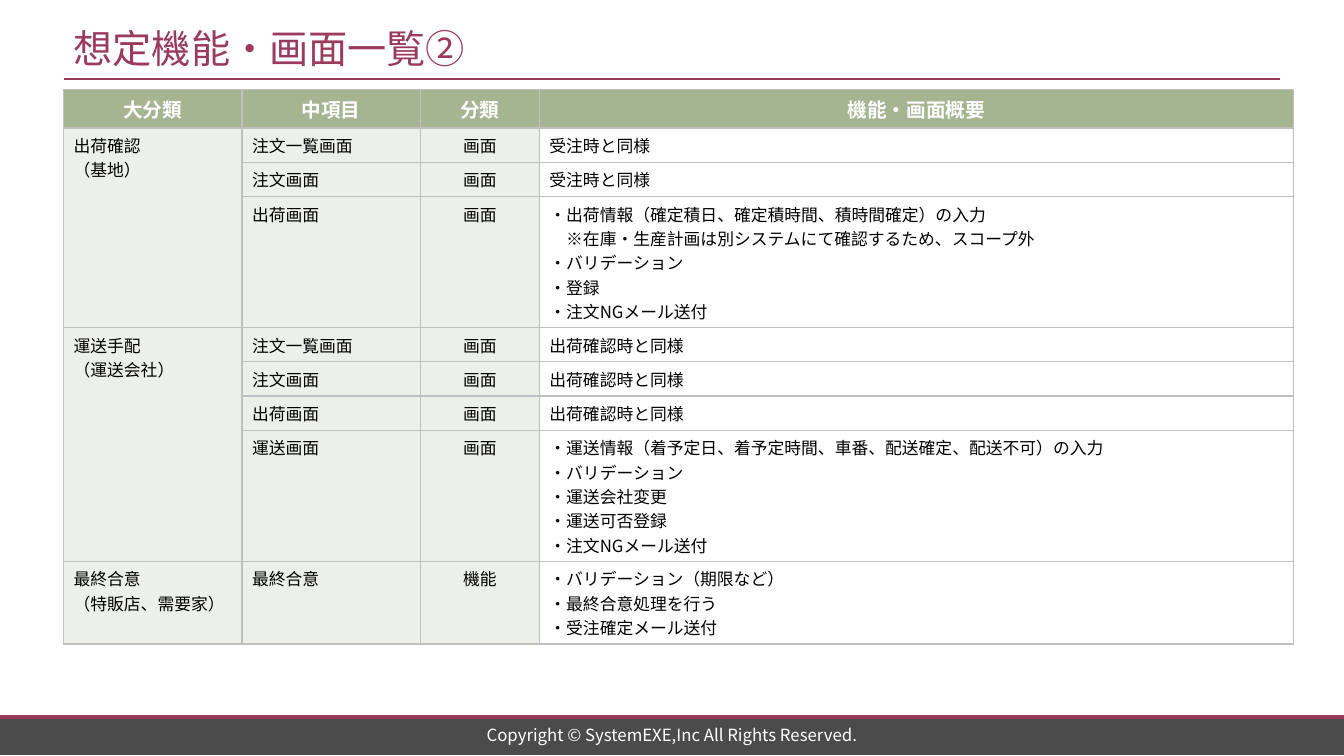
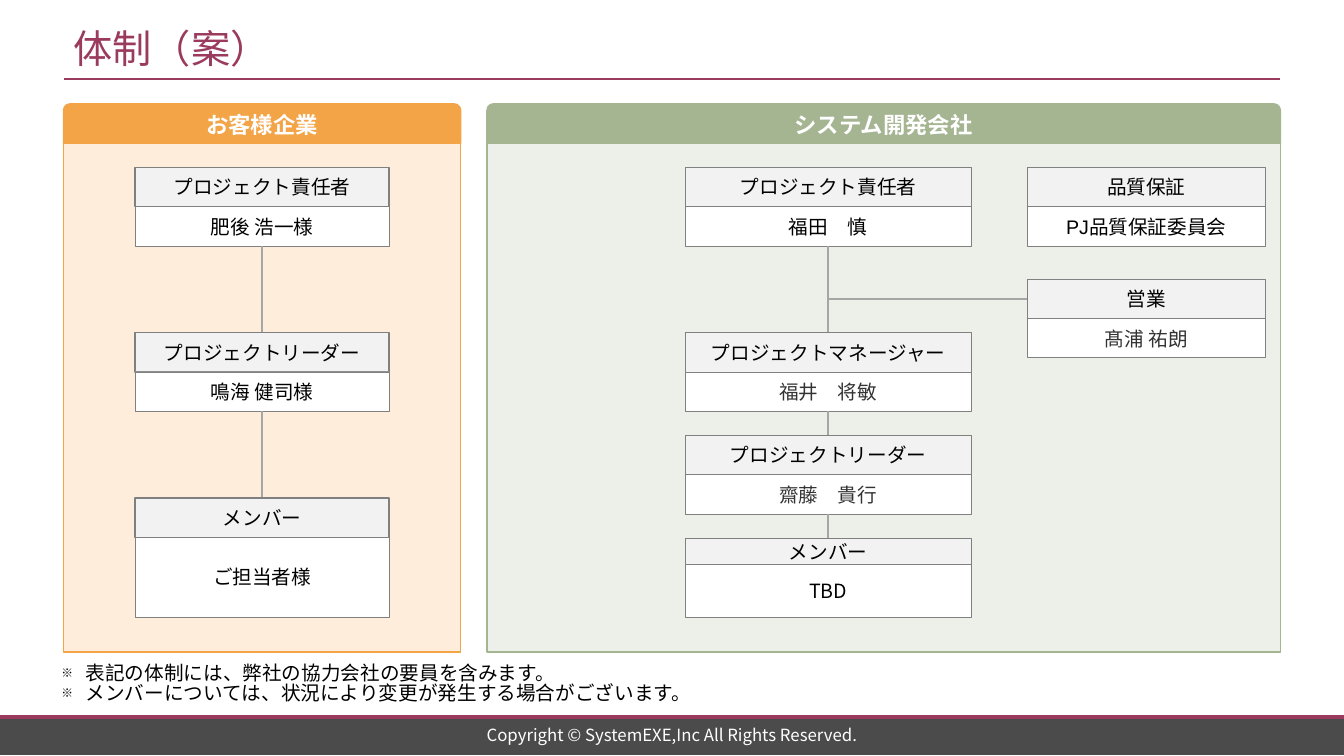
import pptx
import pptx.dml.color
import pptx.enum.shapes
import pptx.enum.text
import pptx.oxml.ns
import pptx.util
from lxml import etree

Inches = pptx.util.Inches
Pt = pptx.util.Pt
RGBColor = pptx.dml.color.RGBColor
SHAPE = pptx.enum.shapes.MSO_SHAPE
ANCHOR = pptx.enum.text.MSO_ANCHOR
ALIGN = pptx.enum.text.PP_ALIGN
qn = pptx.oxml.ns.qn

WINE = RGBColor(0x9A, 0x3B, 0x5D)
CHARCOAL = RGBColor(0x4B, 0x4B, 0x4B)
GREEN = RGBColor(0xA5, 0xB5, 0x92)
PALE_GREEN = RGBColor(0xED, 0xF0, 0xE9)
ORANGE = RGBColor(0xF3, 0xA4, 0x47)
PALE_ORANGE = RGBColor(0xFD, 0xED, 0xDA)
PALE_GRAY = RGBColor(0xF2, 0xF2, 0xF2)
CARD_BORDER = RGBColor(0x80, 0x80, 0x80)
LINK_GRAY = RGBColor(0xA6, 0xA6, 0xA6)
CELL_BORDER = RGBColor(0xBF, 0xBF, 0xBF)
DARK_TEXT = RGBColor(0x33, 0x33, 0x33)
BLACK = RGBColor(0, 0, 0)
WHITE = RGBColor(0xFF, 0xFF, 0xFF)

JAPANESE = "Noto Sans CJK JP"
SLIDE_WIDTH = 13.33
CARD_ROW = 0.39
LINE_HEIGHT = 0.24

HEADINGS = ["大分類", "中項目", "分類", "機能・画面概要"]
COLUMN_WIDTHS = [1.77, 1.77, 1.18, 7.48]
# Each group: its heading, then (item, kind, summary) rows.
FUNCTION_GROUPS = [
    ("出荷確認\n（基地）", [
        ("注文一覧画面", "画面", "受注時と同様"),
        ("注文画面", "画面", "受注時と同様"),
        ("出荷画面", "画面",
         "・出荷情報（確定積日、確定積時間、積時間確定）の入力\n"
         "※在庫・生産計画は別システムにて確認するため、スコープ外\n"
         "・バリデーション\n・登録\n・注文NGメール送付"),
    ]),
    ("運送手配\n（運送会社）", [
        ("注文一覧画面", "画面", "出荷確認時と同様"),
        ("注文画面", "画面", "出荷確認時と同様"),
        ("出荷画面", "画面", "出荷確認時と同様"),
        ("運送画面", "画面",
         "・運送情報（着予定日、着予定時間、車番、配送確定、配送不可）の入力\n"
         "・バリデーション\n・運送会社変更\n・運送可否登録\n・注文NGメール送付"),
    ]),
    ("最終合意\n（特販店、需要家）", [
        ("最終合意", "機能",
         "・バリデーション（期限など）\n・最終合意処理を行う\n・受注確定メール送付"),
    ]),
]

# Each card: top, role, name, name font, name colour, role height, name height.
CLIENT_CARDS = [
    (1.66, "プロジェクト責任者", "肥後 浩一様", JAPANESE, BLACK, CARD_ROW, CARD_ROW),
    (3.3, "プロジェクトリーダー", "鳴海 健司様", "Arial", BLACK, CARD_ROW, CARD_ROW),
    (4.94, "メンバー", "ご担当者様", JAPANESE, BLACK, CARD_ROW, 0.79),
]
VENDOR_CARDS = [
    (1.66, "プロジェクト責任者", "福田　慎", "Arial", BLACK, CARD_ROW, CARD_ROW),
    (3.3, "プロジェクトマネージャー", "福井　将敏", JAPANESE, DARK_TEXT, CARD_ROW, CARD_ROW),
    (4.32, "プロジェクトリーダー", "齋藤　貴行", JAPANESE, DARK_TEXT, CARD_ROW, CARD_ROW),
    (5.34, "メンバー", "TBD", JAPANESE, BLACK, 0.26, 0.52),
]
SUPPORT_CARDS = [
    (1.66, "品質保証", "PJ品質保証委員会", "Arial", BLACK, CARD_ROW, CARD_ROW),
    (2.77, "営業", "髙浦 祐朗", JAPANESE, DARK_TEXT, CARD_ROW, CARD_ROW),
]
NOTES = [
    "表記の体制には、弊社の協力会社の要員を含みます。",
    "メンバーについては、状況により変更が発生する場合がございます。",
]


def format_text(frame, size, color, face=JAPANESE, bold=False, align=ALIGN.LEFT):
    for para in frame.paragraphs:
        para.alignment = align
        for span in para.runs:
            span.font.size = Pt(size)
            span.font.bold = bold
            span.font.name = face
            span.font.color.rgb = color
            east_asian = etree.SubElement(span.font._element, qn("a:ea"))
            east_asian.set("typeface", JAPANESE)


def add_box(slide, left, top, width, height, fill, border=None, border_width=1,
            kind=SHAPE.RECTANGLE):
    box = slide.shapes.add_shape(
        kind, Inches(left), Inches(top), Inches(width), Inches(height))
    box.shadow.inherit = False
    box.fill.solid()
    box.fill.fore_color.rgb = fill
    if border is None:
        box.line.fill.background()
    else:
        box.line.color.rgb = border
        box.line.width = Pt(border_width)
    return box


def add_label(box, text, size, color, face=JAPANESE, bold=False):
    """Write centred text in the middle of a box."""
    frame = box.text_frame
    frame.word_wrap = True
    frame.vertical_anchor = ANCHOR.MIDDLE
    frame.text = text
    format_text(frame, size, color, face, bold, ALIGN.CENTER)


def add_line(slide, start, end, color, width):
    line = slide.shapes.add_connector(
        pptx.enum.shapes.MSO_CONNECTOR.STRAIGHT,
        *[Inches(value) for value in (*start, *end)])
    line.line.color.rgb = color
    line.line.width = Pt(width)
    etree.SubElement(line._element.spPr, qn("a:effectLst"))


def add_text_box(slide, left, top, width, height):
    box = slide.shapes.add_textbox(
        Inches(left), Inches(top), Inches(width), Inches(height))
    box.text_frame.word_wrap = True
    return box


def add_page(deck, title):
    """Add a slide with the shared title, rule and footer band."""
    slide = deck.slides.add_slide(deck.slide_layouts[5])
    add_box(slide, 0, 7.1, SLIDE_WIDTH, 0.39, CHARCOAL)
    add_line(slide, (0, 7.11), (SLIDE_WIDTH, 7.11), WINE, 2.75)
    add_line(slide, (0.63, 0.78), (12.7, 0.78), WINE, 1.5)

    heading = slide.shapes.title
    heading.left, heading.top = Inches(0.63), Inches(0.2)
    heading.width, heading.height = Inches(12.07), Inches(0.55)
    frame = heading.text_frame
    frame.text = title
    frame.word_wrap = False
    frame.auto_size = pptx.enum.text.MSO_AUTO_SIZE.NONE
    frame.vertical_anchor = ANCHOR.MIDDLE
    format_text(frame, 28, WINE)

    footer = add_text_box(slide, 3.32, 7.17, 6.69, 0.24)
    add_label(footer, "Copyright © SystemEXE,Inc All Rights Reserved.", 12, WHITE)
    return slide


def set_cell_borders(cell):
    properties = cell._tc.get_or_add_tcPr()
    for side in ("a:lnL", "a:lnR", "a:lnT", "a:lnB"):
        border = etree.SubElement(properties, qn(side), w=str(Pt(1)))
        fill = etree.SubElement(border, qn("a:solidFill"))
        etree.SubElement(fill, qn("a:srgbClr"), val=str(CELL_BORDER))


def fill_cell(cell, text, fill, size=12, color=BLACK, bold=False, align=ALIGN.LEFT):
    if fill is None:
        cell.fill.background()
    else:
        cell.fill.solid()
        cell.fill.fore_color.rgb = fill
    frame = cell.text_frame
    frame.text = text
    for para in frame.paragraphs:
        if para.text.startswith("※"):
            para._p.get_or_add_pPr().set("marL", str(Pt(size)))
    format_text(frame, size, color, bold=bold, align=align)


def add_function_table(slide):
    row_count = 1 + sum(len(rows) for _, rows in FUNCTION_GROUPS)
    table = slide.shapes.add_table(
        row_count, len(HEADINGS), Inches(0.63), Inches(0.89),
        Inches(sum(COLUMN_WIDTHS)), Inches(4.73)).table
    table.horz_banding = False
    for column, width in zip(table.columns, COLUMN_WIDTHS):
        column.width = Inches(width)
    for cell in table.iter_cells():
        set_cell_borders(cell)

    table.rows[0].height = Inches(0.38)
    for index, heading in enumerate(HEADINGS):
        cell = table.cell(0, index)
        cell.vertical_anchor = ANCHOR.MIDDLE
        fill_cell(cell, heading, GREEN, 14, WHITE, True, ALIGN.CENTER)

    first = 1
    for group, rows in FUNCTION_GROUPS:
        last = first + len(rows) - 1
        if last > first:
            table.cell(first, 0).merge(table.cell(last, 0))
        fill_cell(table.cell(first, 0), group, PALE_GREEN)
        for row, (item, kind, summary) in enumerate(rows, first):
            lines = summary.count("\n") + 1
            table.rows[row].height = Inches(0.1 + LINE_HEIGHT * lines)
            fill_cell(table.cell(row, 1), item, PALE_GREEN)
            fill_cell(table.cell(row, 2), kind, PALE_GREEN, align=ALIGN.CENTER)
            fill_cell(table.cell(row, 3), summary, None)
        first = last + 1


def add_panel(slide, left, width, title, color, pale):
    add_box(slide, left, 1.42, width, 5.05, pale, color)
    header = add_box(slide, left, 1.03, width, 0.39, color, color,
                     kind=SHAPE.ROUND_2_SAME_RECTANGLE)
    add_label(header, title, 16, WHITE, bold=True)


def add_cards(slide, left, width, cards, role_face=JAPANESE, role_border=0.5, linked=True):
    """Stack role cards, joining each to the one above when linked."""
    center = left + width / 2
    bottom = None
    for top, role, name, face, color, role_height, name_height in cards:
        if linked and bottom is not None:
            add_line(slide, (center, bottom), (center, top), LINK_GRAY, 1.5)
        role_box = add_box(slide, left, top, width, role_height,
                           PALE_GRAY, CARD_BORDER, role_border)
        add_label(role_box, role, 14, BLACK, role_face)
        name_box = add_box(slide, left, top + role_height, width, name_height,
                           WHITE, CARD_BORDER, 0.5)
        add_label(name_box, name, 14, color, face)
        bottom = top + role_height + name_height


def add_notes(slide):
    frame = add_text_box(slide, 0.51, 6.54, 11.81, 0.55).text_frame
    frame.text = "\n".join(NOTES)
    for para in frame.paragraphs:
        para.line_spacing = 0.85
        properties = para._p.get_or_add_pPr()
        properties.set("marL", str(Inches(0.24)))
        properties.set("indent", str(-Inches(0.24)))
        etree.SubElement(properties, qn("a:buSzPct"), val="60000")
        etree.SubElement(properties, qn("a:buFont"), typeface=JAPANESE)
        etree.SubElement(properties, qn("a:buChar"), char="※")
    format_text(frame, 14, BLACK, "Arial")


def add_organization(slide):
    add_panel(slide, 0.63, 3.94, "お客様企業", ORANGE, PALE_ORANGE)
    add_panel(slide, 4.83, 7.87, "システム開発会社", GREEN, PALE_GREEN)
    add_cards(slide, 1.34, 2.52, CLIENT_CARDS, "Calibri", 1)
    add_cards(slide, 6.8, 2.83, VENDOR_CARDS)
    add_line(slide, (8.22, 2.97), (10.19, 2.97), LINK_GRAY, 1.5)
    add_cards(slide, 10.19, 2.36, SUPPORT_CARDS, linked=False)
    add_notes(slide)


def main():
    deck = pptx.Presentation()
    deck.slide_width, deck.slide_height = Inches(SLIDE_WIDTH), Inches(7.5)
    add_function_table(add_page(deck, "想定機能・画面一覧②"))
    add_organization(add_page(deck, "体制（案）"))
    deck.save("out.pptx")


if __name__ == "__main__":
    main()
